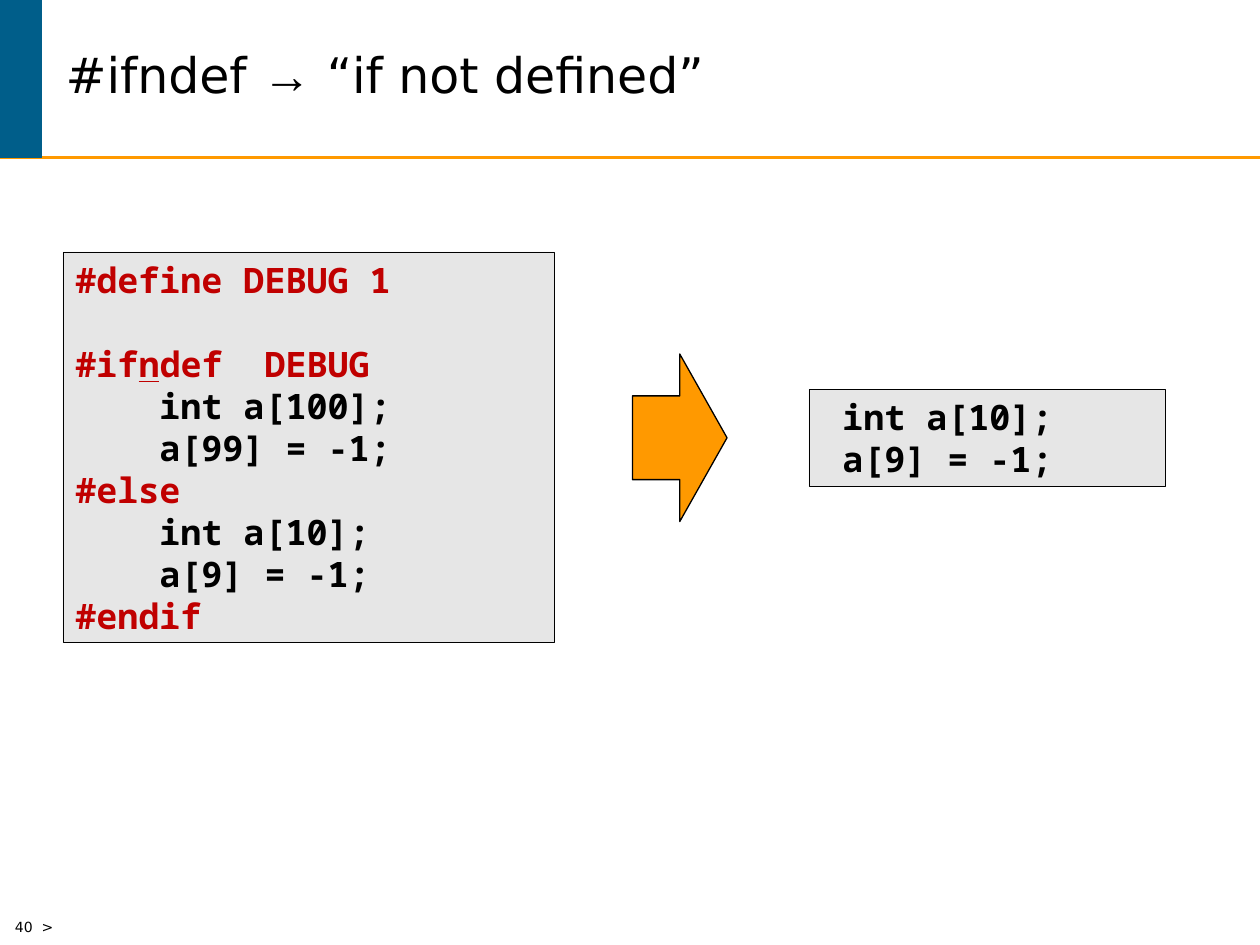
from dataclasses import dataclass

from lxml.etree import SubElement
from pptx import Presentation
from pptx.dml.color import RGBColor
from pptx.enum.shapes import MSO_CONNECTOR as Connector, MSO_SHAPE as Preset
from pptx.enum.text import MSO_ANCHOR as Anchor, MSO_AUTO_SIZE as AutoSize, PP_ALIGN as Align
from pptx.oxml.ns import qn
from pptx.util import Inches, Pt

COLUMNS, ROWS = 100, 75
WIDTH, HEIGHT = Inches(10), Inches(7.5)
BLACK, RED, ORANGE, BLUE, GREY = "000000", "C00000", "FF9900", "005E8A", "E6E6E6"
SANS, MONO = "DejaVu Sans", "Noto Sans Mono"
HEADER_ROWS = 12.5
CODE_SIZE = 20


@dataclass(frozen=True)
class Area:
    """A place on the slide, in grid columns and rows."""
    left: float
    top: float
    width: float
    height: float

    def lengths(self) -> tuple[int, int, int, int]:
        """Return left, top, width and height as slide lengths."""
        return across(self.left), down(self.top), across(self.width), down(self.height)


@dataclass(frozen=True)
class Block:
    """A filled and outlined preset shape."""
    area: Area
    fill: str
    line: str
    line_width: float
    preset: Preset = Preset.RECTANGLE


@dataclass(frozen=True)
class Listing:
    """A code box, with an optional underlined letter in one directive."""
    area: Area
    code: str
    marked_line: str = ""
    marked_letter: str = ""


HEADER_BLOCK = Block(Area(0, 0, 3.3, HEADER_ROWS), BLUE, BLUE, 1)
ARROW = Block(Area(50.2, 28.1, 7.5, 13.3), ORANGE, BLACK, 0.75, Preset.RIGHT_ARROW)
LISTINGS = (
    Listing(Area(5, 20, 39, 31), """#define DEBUG 1

#ifndef  DEBUG
    int a[100];
    a[99] = -1;
#else
    int a[10];
    a[9] = -1;
#endif""", "#ifndef  DEBUG", "n"),
    Listing(Area(64.2, 30.9, 28.3, 7.7), " int a[10];\n a[9] = -1;"),
)
TITLE_SPANS = (("#ifndef ", SANS), ("→", "Arial"), (" “if not defined”", SANS))


def across(columns: float) -> int:
    """Turn grid columns into a length."""
    return round(WIDTH * columns / COLUMNS)


def down(rows: float) -> int:
    """Turn grid rows into a length."""
    return round(HEIGHT * rows / ROWS)


def paint(color_format, color: str) -> None:
    """Set a colour from a hex string."""
    color_format.rgb = RGBColor.from_string(color)


def set_font(font, size: float, color: str, name: str | None = None, bold: bool = False) -> None:
    """Set the look of a font."""
    font.size, font.name, font.bold = Pt(size), name, bold
    paint(font.color, color)


def add_block(page, block: Block):
    """Draw a flat preset shape."""
    shape = page.shapes.add_shape(block.preset, *block.area.lengths())
    shape.shadow.inherit = False
    shape.fill.solid()
    paint(shape.fill.fore_color, block.fill)
    paint(shape.line.color, block.line)
    shape.line.width = Pt(block.line_width)
    return shape


def add_listing(page, listing: Listing) -> None:
    """Draw a code box with red directives and black statements."""
    frame = add_block(page, Block(listing.area, GREY, BLACK, 0.25)).text_frame
    frame.word_wrap = True
    frame.vertical_anchor = Anchor.TOP
    for index, line in enumerate(listing.code.split("\n")):
        para = frame.add_paragraph() if index else frame.paragraphs[0]
        para.alignment = Align.LEFT
        set_font(para.font, CODE_SIZE, RED if line.startswith("#") else BLACK, MONO, True)
        if not line:
            end = SubElement(para._p, qn("a:endParaRPr"), sz=str(CODE_SIZE * 100), b="1")
            SubElement(end, qn("a:latin"), typeface=MONO)
        elif line == listing.marked_line:
            for text in line.partition(listing.marked_letter):
                span = para.add_run()
                span.text = text
                span.font.underline = text == listing.marked_letter
        else:
            para.add_run().text = line


def add_rule(page) -> None:
    """Draw the line under the header."""
    rule = page.shapes.add_connector(
        Connector.STRAIGHT, 0, down(HEADER_ROWS), WIDTH, down(HEADER_ROWS))
    paint(rule.line.color, ORANGE)
    rule.line.width = Pt(1.5)
    SubElement(rule._element.spPr, qn("a:effectLst"))


def fill_title(title) -> None:
    """Place and write the slide title."""
    title.left, title.top, title.width, title.height = Area(4.2, 0, 93.3, HEADER_ROWS).lengths()
    frame = title.text_frame
    frame.auto_size = AutoSize.NONE
    frame.vertical_anchor = Anchor.MIDDLE
    para = frame.paragraphs[0]
    para.alignment = Align.LEFT
    para.line_spacing = 0.85
    set_font(para.font, 28, BLACK)
    for text, name in TITLE_SPANS:
        span = para.add_run()
        span.text = text
        span.font.name = name


def add_page_number(page) -> None:
    """Write the page number in the bottom corner."""
    box = page.shapes.add_textbox(*Area(0.2, 72.4, 14, 2.6).lengths())
    box.text_frame.word_wrap = True
    para = box.text_frame.paragraphs[0]
    tabs = SubElement(para._p.get_or_add_pPr(), qn("a:tabLst"))
    SubElement(tabs, qn("a:tab"), pos=str(Inches(1)), algn="l")
    set_font(para.font, 8, BLACK, SANS)
    para.add_run().text = "40  >"


def main() -> None:
    """Build and save the deck."""
    deck = Presentation()
    deck.slide_width, deck.slide_height = WIDTH, HEIGHT
    page = deck.slides.add_slide(deck.slide_layouts.get_by_name("Title Only"))
    add_rule(page)
    add_block(page, HEADER_BLOCK)
    fill_title(page.shapes.title)
    add_page_number(page)
    add_block(page, ARROW)
    for listing in LISTINGS:
        add_listing(page, listing)
    deck.save("out.pptx")


if __name__ == "__main__":
    main()
